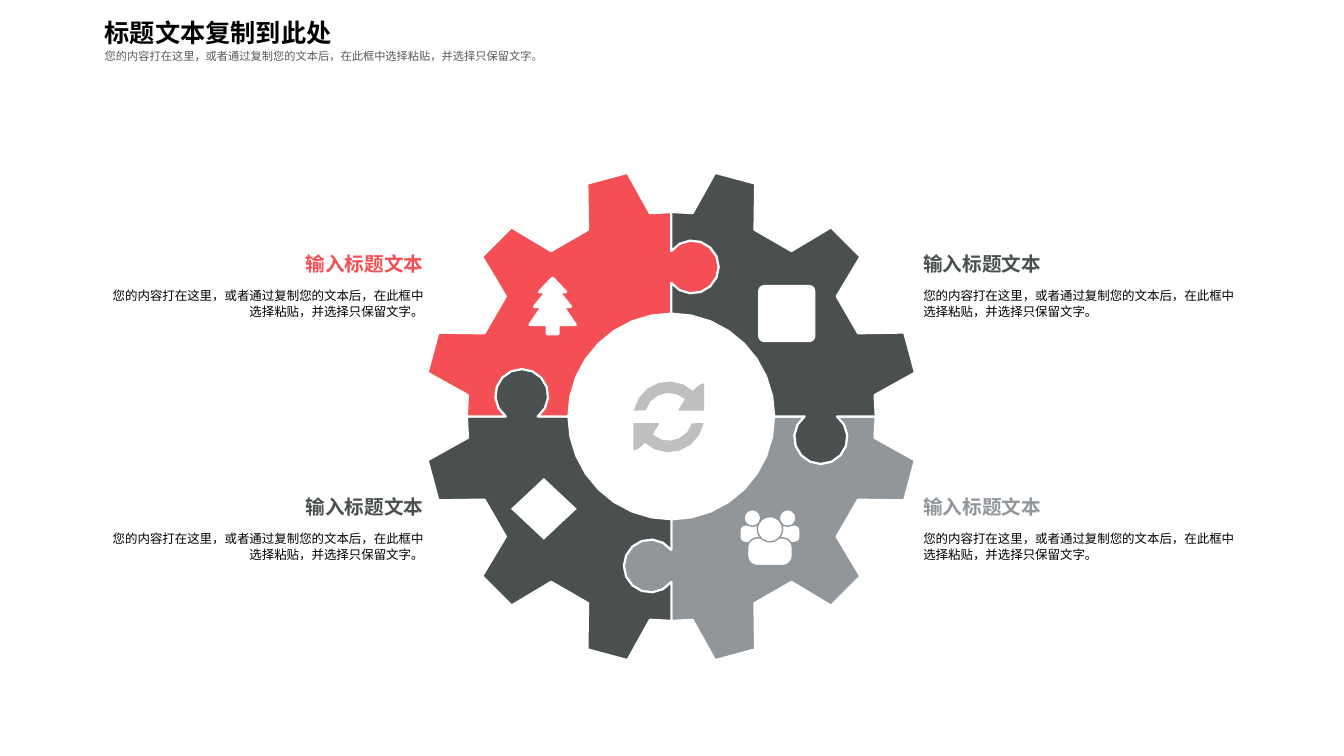
from collections import namedtuple
from dataclasses import dataclass
from math import acos, atan2, cos, degrees, radians, sin, sqrt

from lxml import etree
from pptx import Presentation
from pptx.dml.color import RGBColor
from pptx.enum.shapes import MSO_SHAPE
from pptx.enum.text import MSO_ANCHOR, PP_ALIGN
from pptx.oxml.ns import qn
from pptx.util import Pt

LEFT, RIGHT = PP_ALIGN.LEFT, PP_ALIGN.RIGHT
TOP, MIDDLE = MSO_ANCHOR.TOP, MSO_ANCHOR.MIDDLE
OVAL, ROUNDED, DIAMOND = MSO_SHAPE.OVAL, MSO_SHAPE.ROUNDED_RECTANGLE, MSO_SHAPE.DIAMOND

Box = namedtuple("Box", "x y w h")


@dataclass(frozen=True)
class Theme:
    red: str = "F44F54"
    dark: str = "4A4F4F"
    gray: str = "91969B"
    pale: str = "BFBFBF"
    white: str = "FFFFFF"
    black: str = "000000"
    subtitle: str = "595959"
    latin: str = "Arial"
    cjk: str = "Noto Sans CJK SC"
    title_size: float = 18
    subtitle_size: float = 8
    heading_size: float = 14
    body_size: float = 8.9


THEME = Theme()
BODY = "您的内容打在这里，或者通过复制您的文本后，在此框中选择粘贴，并选择只保留文字。"

BODY_RADIUS, TIP_RADIUS, HUB_RADIUS = 146, 176.8, 73.5
TOOTH_STEP, HALF_BASE, HALF_TIP = 30, 9, 4.8
KNOB_DISTANCE, KNOB_OFFSET, KNOB_RADIUS = 106.8, 15, 18.9
ARC_TOLERANCE = 0.4


def paint(shape, fill, line=None, width=1.5):
    shape.shadow.inherit = False
    shape.fill.solid()
    shape.fill.fore_color.rgb = RGBColor.from_string(fill)
    if line:
        shape.line.color.rgb = RGBColor.from_string(line)
        shape.line.width = Pt(width)
    else:
        shape.line.fill.background()


def add_outline(slide, points, origin, fill, line, width=1.5):
    first, *rest = [(Pt(origin[0] + x), Pt(origin[1] + y)) for x, y in points]
    builder = slide.shapes.build_freeform(*first)
    builder.add_line_segments(rest, close=True)
    paint(builder.convert_to_shape(), fill, line, width)


def add_preset(slide, kind, box, fill, line=None, roundness=None):
    shape = slide.shapes.add_shape(kind, *map(Pt, box))
    if roundness is not None:
        shape.adjustments[0] = roundness
    paint(shape, fill, line, 1)


def add_text(slide, box, text, size, color, font, bold=False, align=LEFT,
             anchor=TOP, spacing=1.0, inset=(7.2, 3.6), wrap=True):
    frame = slide.shapes.add_textbox(*map(Pt, box)).text_frame
    frame.word_wrap = wrap
    frame.vertical_anchor = anchor
    frame.margin_left = frame.margin_right = Pt(inset[0])
    frame.margin_top = frame.margin_bottom = Pt(inset[1])
    paragraph = frame.paragraphs[0]
    paragraph.alignment = align
    paragraph.line_spacing = spacing
    run = paragraph.add_run()
    run.text = text
    run.font.size = Pt(size)
    run.font.bold = bold
    run.font.name = font
    run.font.color.rgb = RGBColor.from_string(color)
    east_asian = etree.SubElement(run.font._element, qn("a:ea"))
    east_asian.set("typeface", THEME.cjk)


def arc(radius, start, end, center=(0, 0)):
    widest = degrees(2 * acos(1 - ARC_TOLERANCE / radius))
    steps = max(1, round(abs(end - start) / widest))
    angles = [radians(start + (end - start) * i / steps) for i in range(steps + 1)]
    return [(center[0] + radius * cos(a), center[1] + radius * sin(a)) for a in angles]


def rotate(points, angle):
    c, s = cos(radians(angle)), sin(radians(angle))
    return [(x * c - y * s, x * s + y * c) for x, y in points]


def seam(angle):
    neck = sqrt(KNOB_RADIUS ** 2 - KNOB_OFFSET ** 2)
    start = degrees(atan2(-KNOB_OFFSET, -neck))
    knob = arc(KNOB_RADIUS, start, -540 - start, (KNOB_DISTANCE, KNOB_OFFSET))
    return rotate(knob, angle)


def toothed_rim(start):
    points, edge = [], start
    for i in range(3):
        tooth = start + TOOTH_STEP * (i + 0.5)
        points += arc(BODY_RADIUS, edge, tooth - HALF_BASE)
        points += arc(TIP_RADIUS, tooth - HALF_TIP, tooth + HALF_TIP)
        edge = tooth + HALF_BASE
    return points + arc(BODY_RADIUS, edge, start + 90)


def gear(slide, box):
    center = (box.x + box.w / 2, box.y + box.h / 2)
    for quarter, color in enumerate((THEME.gray, THEME.dark, THEME.red, THEME.dark)):
        start = 90 * quarter
        points = (seam(start) + toothed_rim(start) + seam(start + 90)[::-1]
                  + arc(HUB_RADIUS, start + 90, start))
        add_outline(slide, points, center, color, THEME.white)
    tree_icon(slide, Box(center[0] - 102, center[1] - 100, 34.5, 42))
    people_icon(slide, Box(center[0] + 49.5, center[1] + 67, 42, 39))
    cycle_icon(slide, Box(center[0] - 27, center[1] - 25, 50.5, 50.5))
    add_preset(slide, ROUNDED, Box(center[0] + 62, center[1] - 94, 41, 41),
               THEME.white, roundness=0.11)
    add_preset(slide, DIAMOND, Box(center[0] - 114.5, center[1] + 44, 47, 44), THEME.white)


def tree_icon(slide, box):
    right_side = [(0, 1), (9.5, 11), (4.5, 11), (13, 21.5), (7.5, 21.5),
                  (16.3, 34.5), (4, 34.5), (4, 41)]
    left_side = [(-x, y) for x, y in right_side[:0:-1]]
    add_outline(slide, right_side + left_side, (box.x + box.w / 2, box.y),
                THEME.white, THEME.white, 2)


def people_icon(slide, box):
    middle = box.x + box.w / 2
    for side in (-1, 1):
        x = middle + side * 12.6
        add_preset(slide, ROUNDED, Box(x + side * 1.9 - 6.5, box.y + 11, 13, 11.5),
                   THEME.white, roundness=0.3)
        add_preset(slide, OVAL, Box(x - 6, box.y - 0.5, 12, 12), THEME.white, THEME.gray)
    add_preset(slide, ROUNDED, Box(middle - 16, box.y + 19.7, 32, 19.8),
               THEME.white, THEME.gray, 0.36)
    add_preset(slide, OVAL, Box(middle - 9, box.y + 4.5, 18, 18), THEME.white, THEME.gray)


def cycle_icon(slide, box):
    center = (box.x + box.w / 2, box.y + box.h / 2)
    head = [(21.5, -22), (24.8, -23.5), (24.8, -5), (7.5, -5), (12, -12.5)]
    arrow = arc(24.8, 191.5, 314) + head + arc(17.6, 312, 197)
    for turn in (0, 180):
        add_outline(slide, rotate(arrow, turn), center, THEME.pale, THEME.pale, 1)


def caption(slide, box, heading, color, align):
    heading_x = box.x + box.w - 108 if align == RIGHT else box.x
    add_text(slide, Box(heading_x, box.y, 108, 25.2), heading, THEME.heading_size, color,
             THEME.latin, bold=True, align=align, anchor=MIDDLE, inset=(11.5, 0), wrap=False)
    add_text(slide, Box(box.x, box.y + 25.2, box.w, box.h - 25.2), BODY, THEME.body_size,
             THEME.black, THEME.latin, align=align, spacing=1.1, inset=(11.5, 3.6))


def header(slide, box):
    add_text(slide, Box(box.x, box.y, 256, 35.3), "标题文本复制到此处", THEME.title_size,
             THEME.black, THEME.cjk, bold=True, spacing=1.3)
    add_text(slide, Box(box.x, box.y + 24.5, box.w, 21.6), BODY, THEME.subtitle_size,
             THEME.subtitle, THEME.cjk, spacing=1.5)


def main():
    deck = Presentation()
    deck.slide_width, deck.slide_height = Pt(960), Pt(540)
    slide = deck.slides.add_slide(deck.slide_layouts[6])
    gear(slide, Box(302.5, 120.5, 354, 354))
    colors = ((THEME.red, THEME.dark), (THEME.dark, THEME.gray))
    for row, row_colors in enumerate(colors):
        for x, align, color in zip((64, 648), (RIGHT, LEFT), row_colors):
            caption(slide, Box(x, 175.7 + row * 173.5, 250, 68.4), "输入标题文本", color, align)
    header(slide, Box(67.7, 2.2, 450.7, 46))
    deck.save("out.pptx")


if __name__ == "__main__":
    main()
